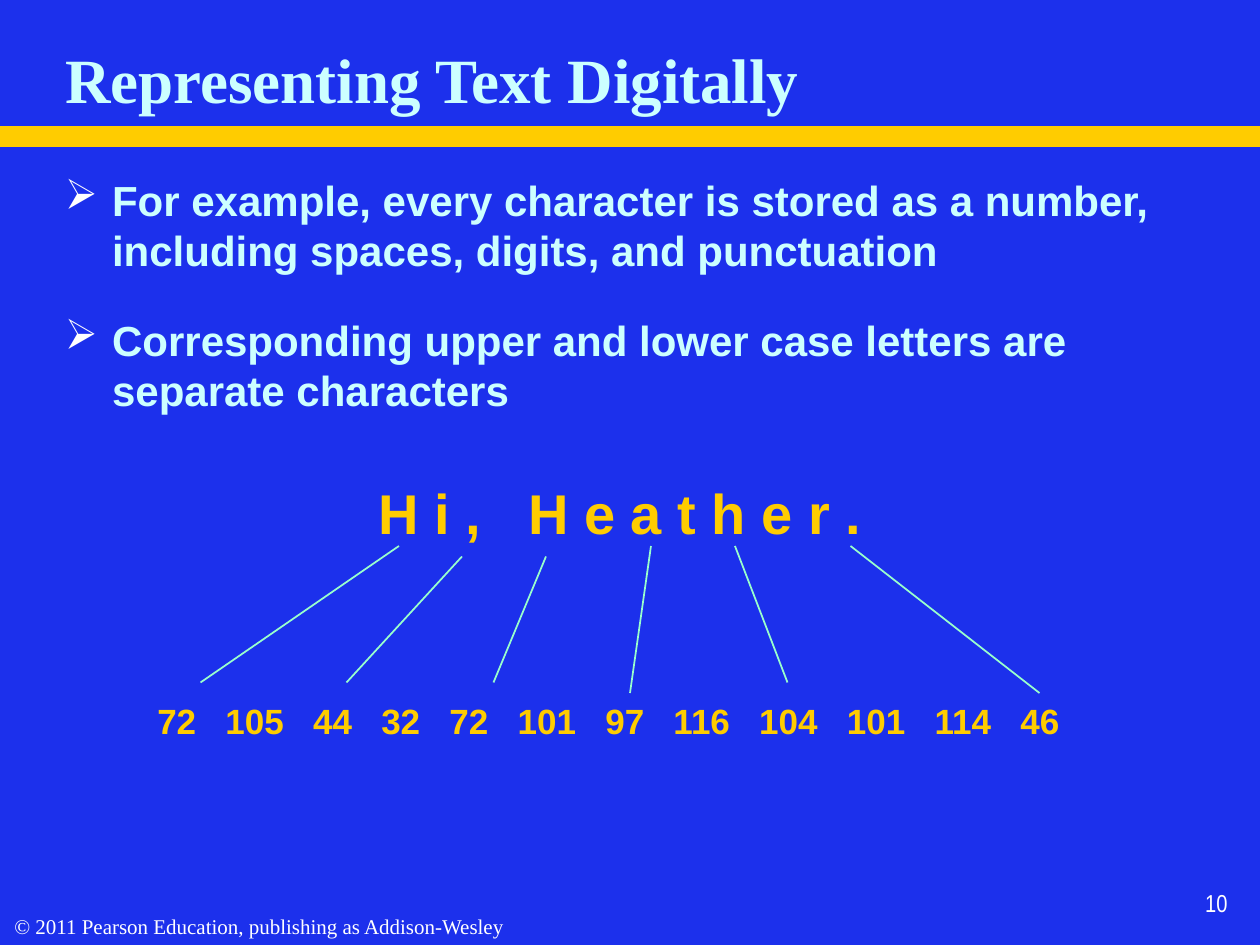
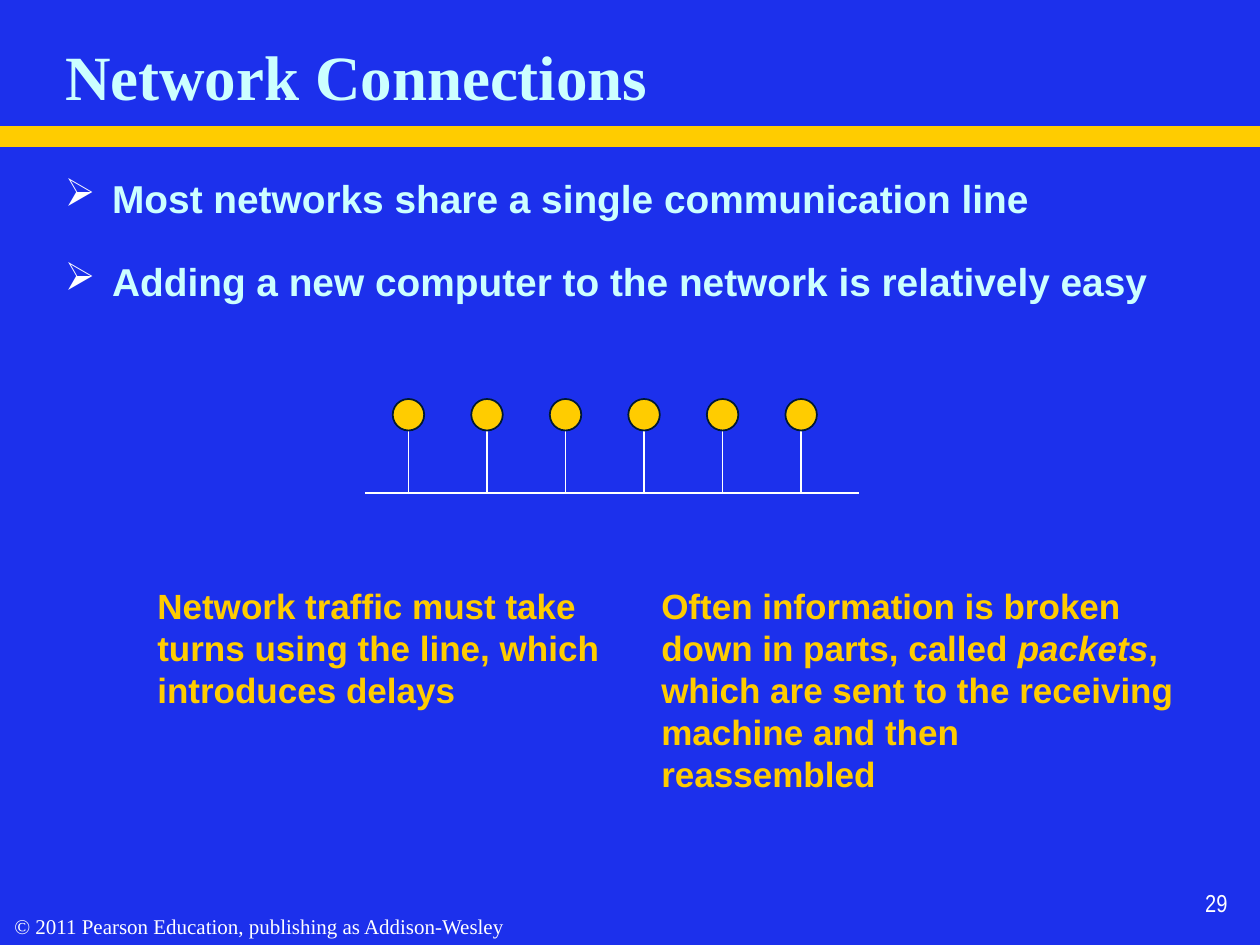
from dataclasses import dataclass
from typing import NamedTuple

from lxml.etree import SubElement
from pptx import Presentation
from pptx.dml.color import RGBColor
from pptx.enum.shapes import MSO_CONNECTOR, MSO_SHAPE
from pptx.enum.text import MSO_ANCHOR as Anchor, MSO_AUTO_SIZE as AutoSize, PP_ALIGN as Align
from pptx.oxml.ns import qn
from pptx.util import Inches, Pt

COLS, ROWS = 120, 90
WIDTH, HEIGHT = Inches(10), Inches(7.5)


class Style(NamedTuple):
    size: float
    font: str
    color: str
    bold: bool = False


@dataclass(frozen=True)
class Theme:
    back: str = "1C30EC"
    gold: str = "FFCC00"
    white: str = "FFFFFF"
    mint: str = "99FFCC"
    navy: str = "001932"
    title: Style = Style(36, "Times New Roman", "CCFFFF", True)
    body: Style = Style(24, "Arial", "CCFFFF", True)
    phrase: Style = Style(32, "Arial", "FFCC00", True)
    caption: Style = Style(20, "Arial", "FFCC00", True)
    footer: Style = Style(12, "Times New Roman", "FFFFFF")
    number: Style = Style(14, "Arial Narrow", "FFFFFF")


class Box(NamedTuple):
    col: float
    row: float
    cols: float
    rows: float


class Line(NamedTuple):
    col1: float
    row1: float
    col2: float
    row2: float


class Run(NamedTuple):
    text: str
    italic: bool = False
    spacing: float = 0


class Caption(NamedTuple):
    box: Box
    lines: list[list[Run]]


THEME = Theme()
FOOTER = "© 2011 Pearson Education, publishing as Addison-Wesley"
BAND = Box(0, 12, COLS, 2)
TITLE_BOX = Box(5, 2.64, 102.6, 9)
FOOTER_BOX = Box(0, 86.4, 49.4, 3.6)
NUMBER_BOX = Box(93.1, 82, 25, 6)

CODES = "72 105 44 32 72 101 97 116 104 101 114 46".split()
LETTER_LINES = [
    Line(19.1, 65, 38, 52), Line(33, 65, 44, 53), Line(47, 65, 52, 53),
    Line(60, 66, 62, 52), Line(70, 52, 75, 65), Line(81, 52, 99, 66),
]

HOSTS, HOST_SIZE, HOST_PITCH = 6, 3, 7.48
HOST_COL, HOST_ROW = 37.4, 38
TRUNK = Line(34.8, 46.93, 81.84, 46.93)
CAPTIONS = [
    Caption(Box(13.8, 55.1, 44.5, 13.2), [
        [Run("Network traffic must take")],
        [Run("turns using the line, which")],
        [Run("introduces delays")],
    ]),
    Caption(Box(61.8, 55.1, 52.1, 17.3), [
        [Run("Often information is broken")],
        [Run("down in parts, called "), Run("packets", italic=True), Run(",")],
        [Run("which are sent to the receiving")],
        [Run("machine and then reassembled")],
    ]),
]


def x(cols: float) -> int:
    return round(WIDTH * cols / COLS)


def y(rows: float) -> int:
    return round(HEIGHT * rows / ROWS)


def place(box: Box) -> tuple[int, int, int, int]:
    return x(box.col), y(box.row), x(box.cols), y(box.rows)


def rgb(color: str) -> RGBColor:
    return RGBColor.from_string(color)


def add_runs(p, runs: list[Run], style: Style) -> None:
    for run in runs:
        r = p.add_run()
        r.text = run.text
        r.font.size = Pt(style.size)
        r.font.name = style.font
        r.font.bold = style.bold
        r.font.italic = run.italic
        r.font.color.rgb = rgb(style.color)
        if run.spacing:
            r.font._element.set("spc", str(round(run.spacing * 100)))


def joined(words: list[str], gap: float) -> list[Run]:
    runs = [Run(words[0])]
    for word in words[1:]:
        runs += [Run(" ", spacing=gap), Run(word)]
    return runs


def add_text(s, box: Box, lines: list[list[Run]], style: Style, wrap: bool = False,
             align: Align = Align.LEFT, anchor: Anchor = Anchor.TOP):
    tf = s.shapes.add_textbox(*place(box)).text_frame
    tf.word_wrap = wrap
    tf.auto_size = AutoSize.NONE if wrap else AutoSize.SHAPE_TO_FIT_TEXT
    tf.vertical_anchor = anchor
    for i, runs in enumerate(lines):
        p = tf.paragraphs[0] if i == 0 else tf.add_paragraph()
        p.alignment = align
        add_runs(p, runs, style)
    return tf


def add_bullets(s, box: Box, items: list[str], style: Style, gap: float) -> None:
    tf = add_text(s, box, [[Run(item)] for item in items], style, wrap=True)
    indent = Inches(0.375)
    for i, p in enumerate(tf.paragraphs):
        if i:
            p.space_before = Pt(gap)
        pPr = p._p.get_or_add_pPr()
        pPr.set("marL", str(indent))
        pPr.set("indent", str(-indent))
        color = SubElement(pPr, qn("a:buClr"))
        SubElement(color, qn("a:srgbClr")).set("val", THEME.white)
        SubElement(pPr, qn("a:buChar")).set("char", "➢")


def add_line(s, line: Line, color: str) -> None:
    c = s.shapes.add_connector(MSO_CONNECTOR.STRAIGHT, x(line.col1), y(line.row1),
                               x(line.col2), y(line.row2))
    c.line.color.rgb = rgb(color)
    c.line.width = Pt(1)
    SubElement(c._element.spPr, qn("a:effectLst"))


def add_filled(s, kind: MSO_SHAPE, box: Box, outline: str | None = None) -> None:
    sp = s.shapes.add_shape(kind, *place(box))
    sp.shadow.inherit = False
    sp.fill.solid()
    sp.fill.fore_color.rgb = rgb(THEME.gold)
    if outline:
        sp.line.color.rgb = rgb(outline)
        sp.line.width = Pt(1)
    else:
        sp.line.fill.background()


def new_slide(prs, title: str, number: int, anchor: Anchor):
    s = prs.slides.add_slide(prs.slide_layouts.get_by_name("Title Only"))
    add_filled(s, MSO_SHAPE.RECTANGLE, BAND)
    add_text(s, FOOTER_BOX, [[Run(FOOTER)]], THEME.footer, align=Align.CENTER)
    sp = s.shapes.title
    sp.left, sp.top, sp.width, sp.height = place(TITLE_BOX)
    tf = sp.text_frame
    tf.auto_size = AutoSize.NONE
    tf.vertical_anchor = anchor
    p = tf.paragraphs[0]
    p.alignment = Align.LEFT
    add_runs(p, [Run(title)], THEME.title)
    add_text(s, NUMBER_BOX, [[Run(str(number))]], THEME.number, wrap=True,
             align=Align.RIGHT, anchor=Anchor.BOTTOM)
    return s


def add_text_slide(prs) -> None:
    s = new_slide(prs, "Representing Text Digitally", 10, Anchor.BOTTOM)
    add_bullets(s, Box(5, 16, 109, 64.3), [
        "For example, every character is stored as a number, "
        "including spaces, digits, and punctuation",
        "Corresponding upper and lower case letters are separate characters",
    ], THEME.body, 22.5)
    add_text(s, Box(34.9, 45, 48.5, 7.6),
             [joined(["H i ,", "H e a t h e r ."], 17.8)], THEME.phrase)
    add_text(s, Box(13.8, 66, 88.8, 5.2), [joined(CODES, 11.1)], THEME.caption)
    for line in LETTER_LINES:
        add_line(s, line, THEME.mint)


def add_network_slide(prs) -> None:
    s = new_slide(prs, "Network Connections", 29, Anchor.MIDDLE)
    add_bullets(s, Box(5, 16, 109, 18), [
        "Most networks share a single communication line",
        "Adding a new computer to the network is relatively easy",
    ], THEME.body._replace(size=22.2), 21)
    add_line(s, TRUNK, THEME.white)
    for i in range(HOSTS):
        col = HOST_COL + i * HOST_PITCH
        middle = col + HOST_SIZE / 2
        add_line(s, Line(middle, 47, middle, 40), THEME.white)
        add_filled(s, MSO_SHAPE.OVAL, Box(col, HOST_ROW, HOST_SIZE, HOST_SIZE), THEME.navy)
    for caption in CAPTIONS:
        add_text(s, caption.box, caption.lines, THEME.caption)


def main() -> None:
    prs = Presentation()
    prs.slide_width, prs.slide_height = WIDTH, HEIGHT
    fill = prs.slide_master.background.fill
    fill.solid()
    fill.fore_color.rgb = rgb(THEME.back)
    add_text_slide(prs)
    add_network_slide(prs)
    prs.save("out.pptx")


if __name__ == "__main__":
    main()
